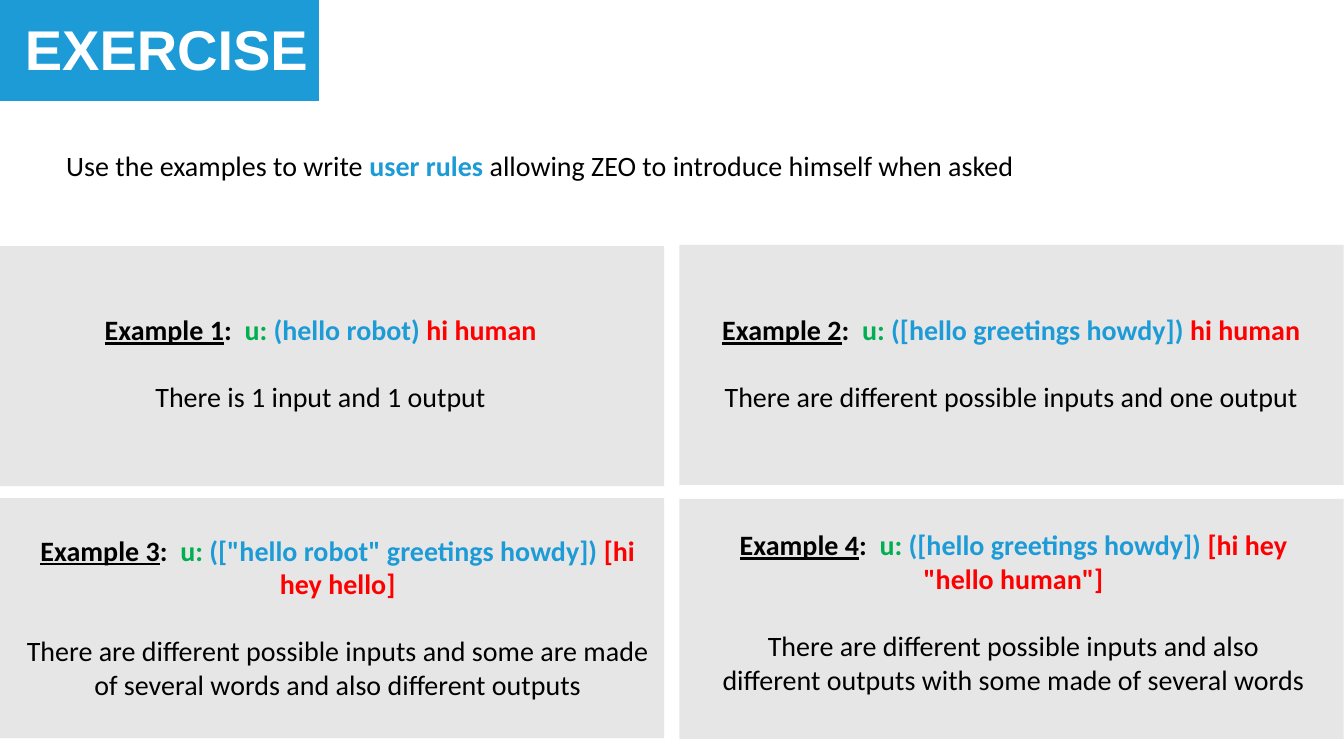
from pptx import Presentation
from pptx import util as u
from pptx.dml.color import RGBColor
from pptx.enum import shapes, text

BLUE, GREEN, RED = "1D9BD7", "00B050", "FF0000"
BLACK, WHITE, GREY = "000000", "FFFFFF", "E7E6E6"
PANEL_W, PANEL_H = 16.74, 6.05

# Panel position, text box (left, top, width, height), input, output, explanation
EXAMPLES = [
    ((0, 6.2), (1.96, 7.75, 12.24, 2.82),
     "(hello robot) ", "hi human",
     "There is 1 input and 1 output"),
    ((17.12, 6.17), (17.75, 7.75, 15.47, 2.82),
     "([hello greetings howdy]) ", "hi human",
     "There are different possible inputs and one output"),
    ((0, 12.55), (0.28, 13.31, 16.46, 4.52),
     '(["hello robot" greetings howdy]) ', "[hi hey hello]",
     "There are different possible inputs and some are made of several words "
     "and also different outputs"),
    ((17.12, 12.57), (17.83, 13.18, 15.42, 4.52),
     "([hello greetings howdy]) ", '[hi hey "hello human"]',
     "There are different possible inputs and also different outputs with "
     "some made of several words"),
]


def rgb(color):
    return RGBColor.from_string(color)


def add_box(parent, box, fill, line=None):
    sp = parent.add_shape(shapes.MSO_SHAPE.RECTANGLE, *map(u.Cm, box))
    sp.shadow.inherit = False
    sp.fill.solid()
    sp.fill.fore_color.rgb = rgb(fill)
    if line:
        sp.line.color.rgb = rgb(line)
        sp.line.width = u.Pt(1)
    else:
        sp.line.fill.background()


def add_text(parent, box):
    """Add a wrapping text box and return its text frame."""
    tf = parent.add_textbox(*map(u.Cm, box)).text_frame
    tf.word_wrap = True
    tf.auto_size = text.MSO_AUTO_SIZE.SHAPE_TO_FIT_TEXT
    return tf


def add_run(p, words, color=BLACK, bold=False, underline=False,
            size=20, font="Calibri"):
    r = p.add_run()
    r.text = words
    r.font.name = font
    r.font.size = u.Pt(size)
    r.font.bold = bold
    r.font.underline = underline
    r.font.color.rgb = rgb(color)


def add_title(s):
    add_box(s.shapes, (-0.41, -0.53, 8.48, 3.1), BLUE, WHITE)
    tf = add_text(s.shapes, (0.38, 0.25, 29.95, 1.8))
    add_run(tf.paragraphs[0], "EXERCISE", WHITE, True, size=40, font="Arial")


def add_task(s):
    p = add_text(s.shapes, (1.42, 3.61, 33.2, 1.12)).paragraphs[0]
    add_run(p, "Use the examples to write ")
    add_run(p, "user rules ", BLUE, True)
    add_run(p, "allowing ZEO to introduce himself when asked")


def add_example(s, number, corner, box, rule_input, rule_output, explanation):
    """Add a grouped panel with a colour-coded rule and its explanation."""
    group = s.shapes.add_group_shape().shapes
    add_box(group, (*corner, PANEL_W, PANEL_H), GREY)
    tf = add_text(group, box)
    p = tf.paragraphs[0]
    p.alignment = text.PP_ALIGN.CENTER
    add_run(p, f"Example {number}", bold=True, underline=True)
    for words, color in ((":  ", BLACK), ("u: ", GREEN),
                         (rule_input, BLUE), (rule_output, RED)):
        add_run(p, words, color, True)
    p = tf.add_paragraph()
    p.alignment = text.PP_ALIGN.CENTER
    p.space_before = u.Pt(24)
    add_run(p, explanation)


def main():
    prs = Presentation()
    prs.slide_width, prs.slide_height = u.Cm(33.87), u.Cm(19.05)
    s = prs.slides.add_slide(prs.slide_layouts[6])
    add_title(s)
    add_task(s)
    for number, example in enumerate(EXAMPLES, 1):
        add_example(s, number, *example)
    prs.save("out.pptx")


if __name__ == "__main__":
    main()
